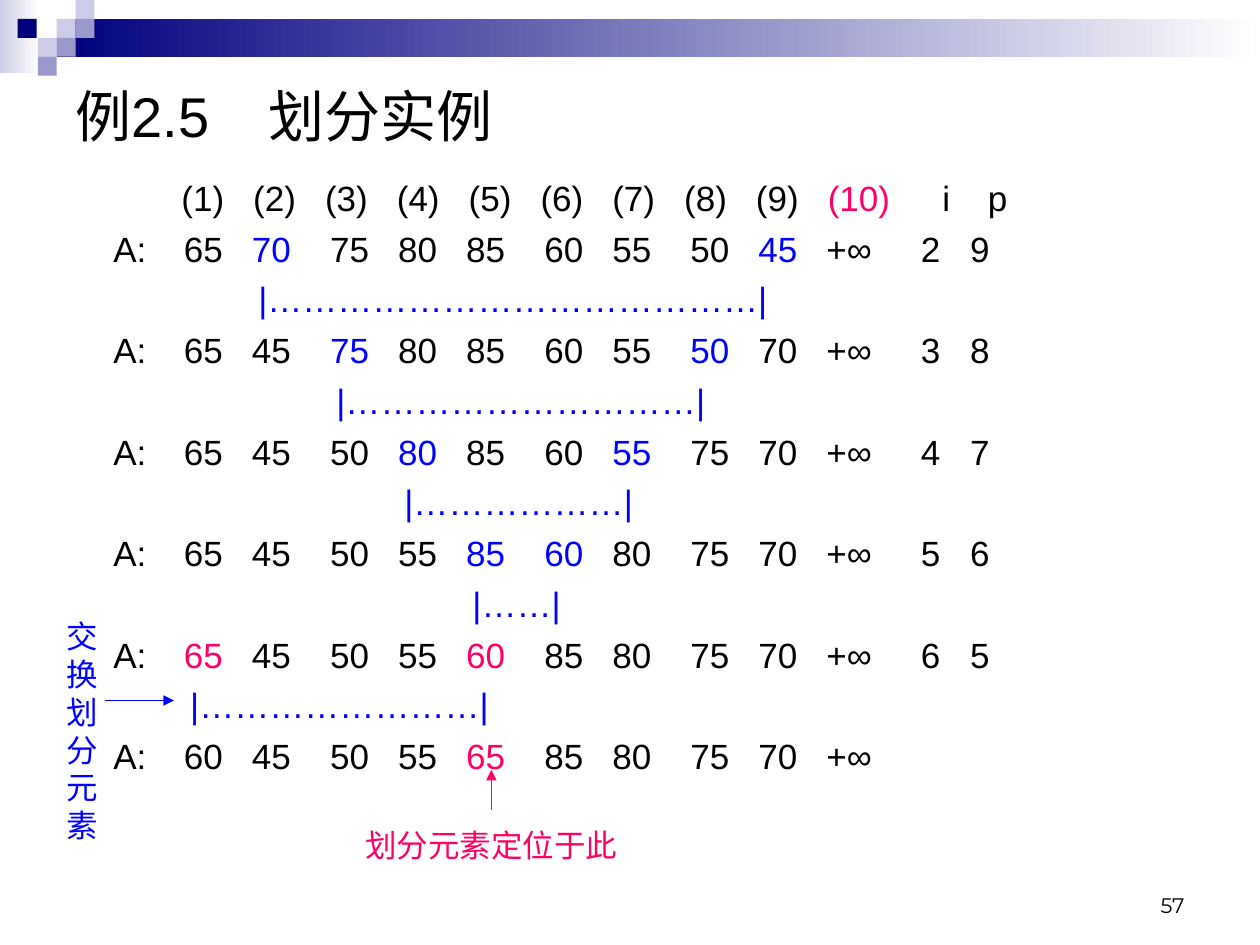
from pptx import Presentation
from pptx.dml.color import RGBColor
from pptx.enum.shapes import MSO_CONNECTOR as Connector, MSO_SHAPE as Shape
from pptx.enum.text import MSO_ANCHOR as Anchor, PP_ALIGN as Align
from pptx.oxml.ns import qn
from pptx.util import Inches, Pt
from lxml.etree import SubElement

BLACK = RGBColor(0, 0, 0)
WHITE = RGBColor(0xFF, 0xFF, 0xFF)
BLUE = RGBColor(0, 0, 0xFF)
PINK = RGBColor(0xFF, 0, 0x66)
NAVY = RGBColor(0, 0, 0x7D)
LILAC = RGBColor(0xCC, 0xCC, 0xE6)
VIOLET = RGBColor(0x99, 0x99, 0xCC)

TILE = 0.15
TILES = [(0.45, 0.15, LILAC), (0.6, 0, LILAC), (0.6, 0.15, VIOLET), (0.3, 0.3, LILAC),
         (0.14, 0.15, NAVY), (0.45, 0.3, VIOLET), (0.3, 0.45, VIOLET)]

START = [65, 70, 75, 80, 85, 60, 55, 50, 45]
STEPS = [
    ((2, 9), (2, 9), BLUE, 14),
    ((3, 8), (3, 8), BLUE, 10),
    ((4, 7), (4, 7), BLUE, 6),
    ((5, 6), (5, 6), BLUE, 2),
    ((1, 5), (6, 5), PINK, 8),
]
VALUE_STOPS = [0.56, 1.1, 1.72, 2.26, 2.8, 3.42, 3.96, 4.58, 5.12, 5.66, 6.41, 6.8]
HEADER_STOPS = [0.54 + 0.57 * column for column in range(10)] + [6.58, 6.94]
BRACKET_SHIFT = 0.05


def write(paragraph, runs, size=20, font="Arial", color=BLACK, align=Align.LEFT,
          stops=(), line=None, before=0):
    if stops:
        tabs = SubElement(paragraph._p.get_or_add_pPr(), qn("a:tabLst"))
        for stop in stops:
            SubElement(tabs, qn("a:tab"), pos=str(Inches(stop)), algn="l")
    paragraph.alignment = align
    paragraph.space_before = Pt(before)
    if line:
        paragraph.line_spacing = Pt(line)
    for text, run_color in [(runs, color)] if isinstance(runs, str) else runs:
        run = paragraph.add_run()
        run.text = text
        run.font.size = Pt(size)
        run.font.name = font
        run.font.color.rgb = run_color


def add_frame(slide, left, top, width, height, inset=(0.1, 0.05), anchor=Anchor.TOP):
    box = slide.shapes.add_textbox(Inches(left), Inches(top), Inches(width), Inches(height))
    frame = box.text_frame
    frame.word_wrap = True
    frame.vertical_anchor = anchor
    frame.margin_left = frame.margin_right = Inches(inset[0])
    frame.margin_top = frame.margin_bottom = Inches(inset[1])
    return frame


def add_block(slide, left, top, width, height, color, fade=False):
    block = slide.shapes.add_shape(
        Shape.RECTANGLE, Inches(left), Inches(top), Inches(width), Inches(height))
    block.shadow.inherit = False
    block.line.fill.background()
    if fade:
        block.fill.gradient()
        block.fill.gradient_angle = 0
        for stop, stop_color in zip(block.fill.gradient_stops, (color, WHITE)):
            stop.color.rgb = stop_color
    else:
        block.fill.solid()
        block.fill.fore_color.rgb = color


def add_banner(slide, left, top, width):
    add_block(slide, left, top, 0.31, 0.58, LILAC, fade=True)
    add_block(slide, left + 0.45, top + 0.15, width - 0.45, 0.3, NAVY, fade=True)
    for x, y, color in TILES:
        add_block(slide, left + x, top + y, TILE, TILE, color)


def add_title(slide, left, top, width, height):
    title = slide.shapes.title
    title.left, title.top = Inches(left), Inches(top)
    title.width, title.height = Inches(width), Inches(height)
    title.text_frame.vertical_anchor = Anchor.TOP
    write(title.text_frame.paragraphs[0], "例2.5\t划分实例", size=32, stops=[1.53])


def value_runs(values, marked, color, pointers):
    cells = [(f"\t{value}", color if place in marked else BLACK)
             for place, value in enumerate(values, 1)]
    ending = "".join(f"\t{pointer}" for pointer in pointers)
    return [("A:", BLACK), *cells, ("\t+∞" + ending, BLACK)]


def add_trace(slide, left, top, width, height):
    frame = add_frame(slide, left, top, width, height, inset=(0, 0))
    numbers = "".join(f"\t({place})" for place in range(1, 10))
    write(frame.paragraphs[0], [(numbers, BLACK), ("\t(10)", PINK), ("\ti\tp", BLACK)],
          stops=HEADER_STOPS, line=24)
    values = list(START)
    for (low, high), pointers, color, dots in STEPS:
        write(frame.add_paragraph(), value_runs(values, (low, high), color, pointers),
              stops=VALUE_STOPS, line=24, before=5)
        write(frame.add_paragraph(), "\t|" + "…" * dots + "|", color=BLUE,
              stops=[VALUE_STOPS[low - 1] + BRACKET_SHIFT], line=24, before=5)
        values[low - 1], values[high - 1] = values[high - 1], values[low - 1]
    write(frame.add_paragraph(), value_runs(values, (5,), PINK, ()),
          stops=VALUE_STOPS, line=24, before=5)


def add_arrow(slide, start, end, color):
    arrow = slide.shapes.add_connector(
        Connector.STRAIGHT, *(Inches(value) for value in (*start, *end)))
    arrow.line.color.rgb = color
    arrow.line.width = Pt(0.75)
    properties = arrow._element.spPr
    SubElement(properties.find(qn("a:ln")), qn("a:tailEnd"), type="triangle")
    SubElement(properties, qn("a:effectLst"))


def add_note(slide, left, top, width, height, text, color):
    frame = add_frame(slide, left, top, width, height)
    write(frame.paragraphs[0], text, size=18, color=color)


def add_page_number(slide, left, top, width, height):
    frame = add_frame(slide, left, top, width, height, anchor=Anchor.BOTTOM)
    write(frame.paragraphs[0], "57", size=12, font="Montserrat", align=Align.RIGHT)


def main():
    deck = Presentation()
    deck.slide_width, deck.slide_height = Inches(10), Inches(7.5)
    slide = deck.slides.add_slide(deck.slide_layouts[5])
    add_banner(slide, 0, 0, 10)
    add_title(slide, 0.5, 0.6, 9, 0.75)
    add_trace(slide, 0.9, 1.4, 8.2, 4.85)
    add_arrow(slide, (3.9, 6.43), (3.9, 6.11), PINK)
    add_note(slide, 2.8, 6.51, 2.44, 0.4, "划分元素定位于此", PINK)
    add_arrow(slide, (0.83, 5.56), (1.38, 5.56), BLUE)
    add_note(slide, 0.43, 4.85, 0.39, 1.9, "交换划分元素", BLUE)
    add_page_number(slide, 7.17, 6.83, 2.33, 0.5)
    deck.save("out.pptx")


if __name__ == "__main__":
    main()
